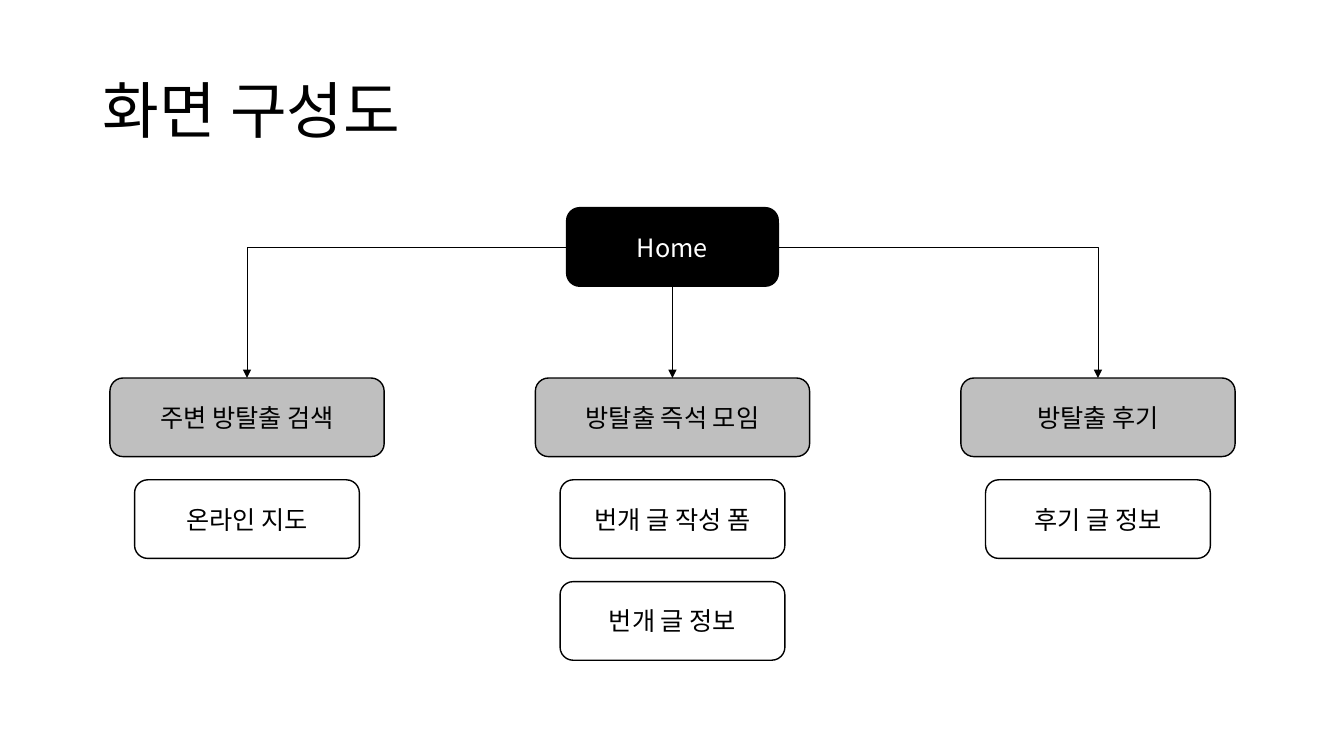
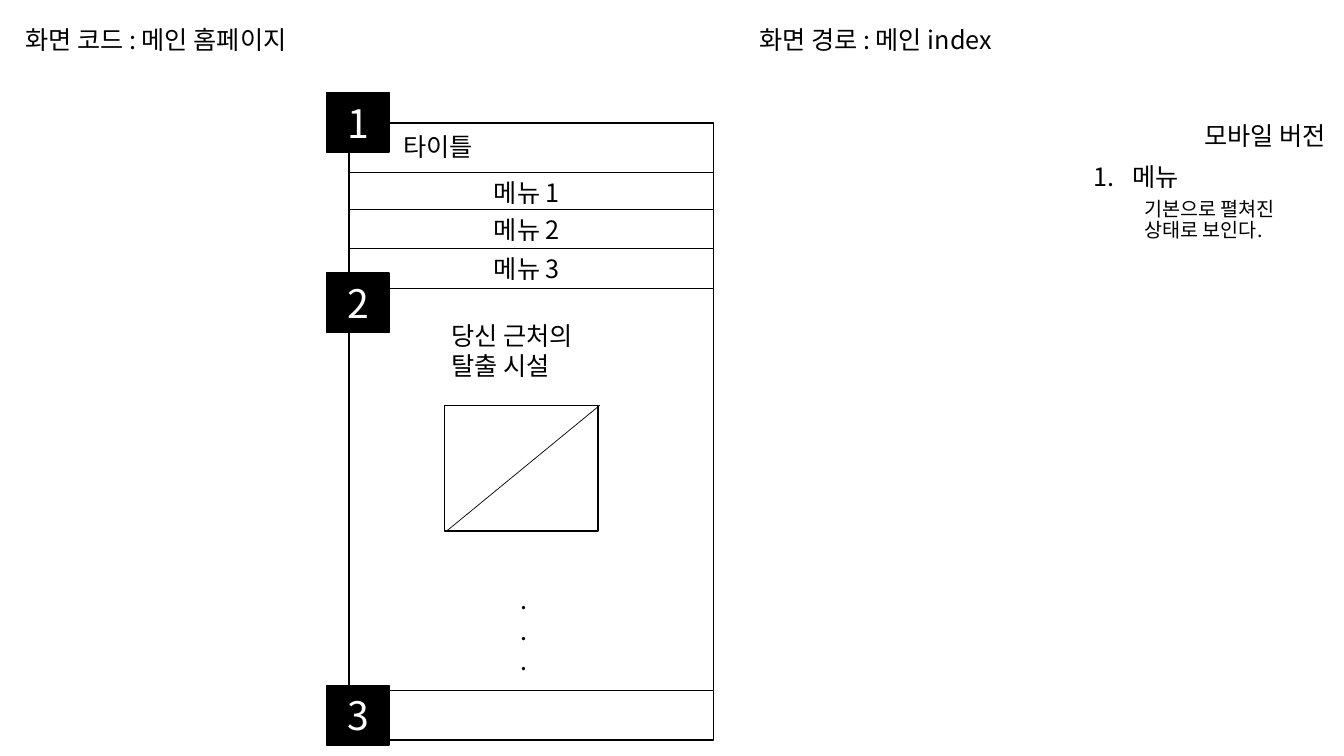
from lxml import etree
from pptx import Presentation
from pptx.dml.color import RGBColor
from pptx.enum import shapes, text
from pptx.oxml.ns import qn
from pptx.util import Inches, Pt

BLACK = RGBColor(0x00, 0x00, 0x00)
WHITE = RGBColor(0xFF, 0xFF, 0xFF)
GRAY = RGBColor(0xBF, 0xBF, 0xBF)
FONT = "Noto Sans CJK KR"

LEFT, CENTER, RIGHT = text.PP_ALIGN.LEFT, text.PP_ALIGN.CENTER, text.PP_ALIGN.RIGHT
TOP, MIDDLE = text.MSO_ANCHOR.TOP, text.MSO_ANCHOR.MIDDLE
RECT, ROUNDED = shapes.MSO_SHAPE.RECTANGLE, shapes.MSO_SHAPE.ROUNDED_RECTANGLE
STRAIGHT, ELBOW = shapes.MSO_CONNECTOR.STRAIGHT, shapes.MSO_CONNECTOR.ELBOW
SITE_TOP, SITE_LEFT, SITE_BOTTOM, SITE_RIGHT = range(4)


def write(para, words, size=18, color=BLACK, align=LEFT, spacing=None,
          before=0, margin=0, indent=0, numbered=False):
    """Write one formatted run into a paragraph."""
    para.alignment = align
    para.space_before = Pt(before)
    if spacing:
        para.line_spacing = spacing
    props = para._p.get_or_add_pPr()
    if margin:
        props.set("marL", str(Inches(margin)))
        props.set("indent", str(Inches(indent)))
    if numbered:
        etree.SubElement(props, qn("a:buAutoNum"), type="arabicPeriod")
    span = para.add_run()
    span.text = words
    span.font.size = Pt(size)
    span.font.color.rgb = color
    span.font.name = FONT
    etree.SubElement(span.font._element, qn("a:ea"), typeface=FONT)


def add_text(page, x, y, width, height, *lines, anchor=TOP, wrap=True,
             grow=False, **style):
    """Add a text box with one paragraph per line, all in one style."""
    box = page.shapes.add_textbox(Inches(x), Inches(y), Inches(width), Inches(height))
    frame = box.text_frame
    frame.word_wrap = wrap
    frame.vertical_anchor = anchor
    if grow:
        frame.auto_size = text.MSO_AUTO_SIZE.SHAPE_TO_FIT_TEXT
    for index, line in enumerate(lines):
        para = frame.add_paragraph() if index else frame.paragraphs[0]
        write(para, line, **style)
    return box


def add_box(page, x, y, width, height, words="", kind=RECT, fill=WHITE, **style):
    """Add an outlined box with optional centred text."""
    box = page.shapes.add_shape(kind, Inches(x), Inches(y), Inches(width), Inches(height))
    box.shadow.inherit = False
    box.fill.solid()
    box.fill.fore_color.rgb = fill
    box.line.color.rgb = BLACK
    box.line.width = Pt(1)
    if words:
        box.text_frame.vertical_anchor = MIDDLE
        write(box.text_frame.paragraphs[0], words, align=CENTER, **style)
    return box


def add_line(page, x1=0, y1=0, x2=0, y2=0, kind=STRAIGHT):
    """Add a thin black line."""
    line = page.shapes.add_connector(kind, Inches(x1), Inches(y1), Inches(x2), Inches(y2))
    line.line.color.rgb = BLACK
    line.line.width = Pt(0.5)
    etree.SubElement(line._element.spPr, qn("a:effectLst"))
    return line


def add_arrow(page, parent, site, child):
    """Join a side of the parent box to the top of the child box."""
    arrow = add_line(page, kind=STRAIGHT if site == SITE_BOTTOM else ELBOW)
    arrow.begin_connect(parent, site)
    arrow.end_connect(child, SITE_TOP)
    if site != SITE_BOTTOM:
        arrow._element.spPr.find(qn("a:prstGeom")).set("prst", "bentConnector2")
    etree.SubElement(arrow.line._get_or_add_ln(), qn("a:tailEnd"), type="triangle")


def set_title(page, words):
    """Place and format the title placeholder."""
    title = page.shapes.title
    title.left, title.top = Inches(0.92), Inches(0.4)
    title.width, title.height = Inches(11.5), Inches(1.45)
    title.text_frame.auto_size = text.MSO_AUTO_SIZE.NONE
    title.text_frame.vertical_anchor = MIDDLE
    write(title.text_frame.paragraphs[0], words, size=44, spacing=0.9)


def build_site_map(deck):
    """Build the tree of screens."""
    page = deck.slides.add_slide(deck.slide_layouts[5])
    set_title(page, "화면 구성도")

    def node(center, y, width, words, **style):
        return add_box(page, center - width / 2, y, width, 0.78, words,
                       kind=ROUNDED, **style)

    first_center, column_pitch = 2.45, 4.22
    first_row, row_pitch = 3.75, 1.01
    home = node(first_center + column_pitch, 2.06, 2.1, "Home", fill=BLACK, color=WHITE)
    branches = [
        ("주변 방탈출 검색", SITE_LEFT, ["온라인 지도"]),
        ("방탈출 즉석 모임", SITE_BOTTOM, ["번개 글 작성 폼", "번개 글 정보"]),
        ("방탈출 후기", SITE_RIGHT, ["후기 글 정보"]),
    ]
    for column, (name, site, screens) in enumerate(branches):
        center = first_center + column * column_pitch
        branch = node(center, first_row, 2.72, name, fill=GRAY)
        add_arrow(page, home, site, branch)
        for row, screen in enumerate(screens, 1):
            node(center, first_row + row * row_pitch, 2.23, screen)


def build_main_screen(deck):
    """Build the wireframe of the mobile main page."""
    page = deck.slides.add_slide(deck.slide_layouts[6])
    for x, words in [(0.15, "화면 코드 : 메인 홈페이지"), (7.43, "화면 경로 : 메인 index")]:
        add_text(page, x, 0.16, 5.75, 0.49, words, anchor=MIDDLE, spacing=0.9)

    notes = add_text(page, 10.75, 1.18, 2.5, 6.16, "모바일 버전",
                     align=RIGHT, spacing=0.9, before=10).text_frame
    write(notes.add_paragraph(), "메뉴", spacing=0.9, before=10,
          margin=0.38, indent=-0.38, numbered=True)
    write(notes.add_paragraph(), "기본으로 펼쳐진 상태로 보인다.", size=14,
          spacing=0.9, before=5, margin=0.5)

    phone_left, phone_width = 3.46, 3.62
    for top, height in [(1.96, 4.9), (6.85, 0.49), (1.22, 1.64)]:
        add_box(page, phone_left, top, phone_width, height)

    add_text(page, 3.9, 1.25, 0.96, 0.4, "타이틀", wrap=False, grow=True)
    for number, top in enumerate([1.71, 2.08, 2.46], 1):
        add_line(page, phone_left, top, phone_left + phone_width, top)
        add_text(page, 4.8, top, 0.93, 0.4, f"메뉴 {number}", wrap=False, grow=True)

    for number, top in enumerate([0.92, 2.71, 6.8], 1):
        add_box(page, 3.24, top, 0.62, 0.59, str(number), fill=BLACK,
                color=WHITE, size=28)

    add_text(page, 4.38, 3.13, 2.08, 0.71, "당신 근처의", "탈출 시설", grow=True)
    add_box(page, 4.41, 4.02, 1.52, 1.25)
    add_line(page, 5.95, 4.02, 4.44, 5.26)
    add_text(page, 4.16, 5.75, 2.08, 1.01, *"...", grow=True, align=CENTER)


def main():
    """Build and save the deck."""
    deck = Presentation()
    deck.slide_width, deck.slide_height = Inches(13.33), Inches(7.5)
    build_site_map(deck)
    build_main_screen(deck)
    deck.save("out.pptx")


main()
